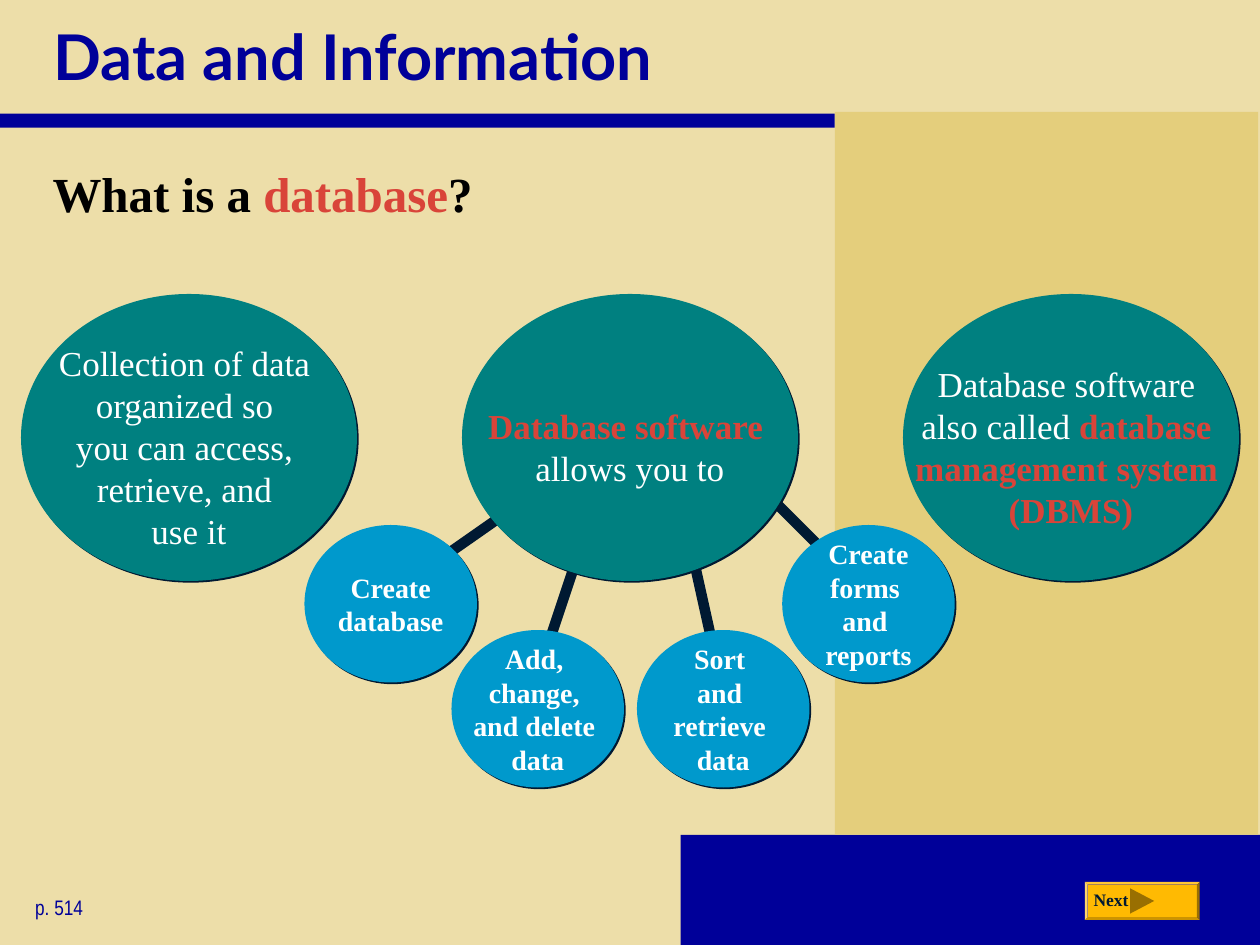
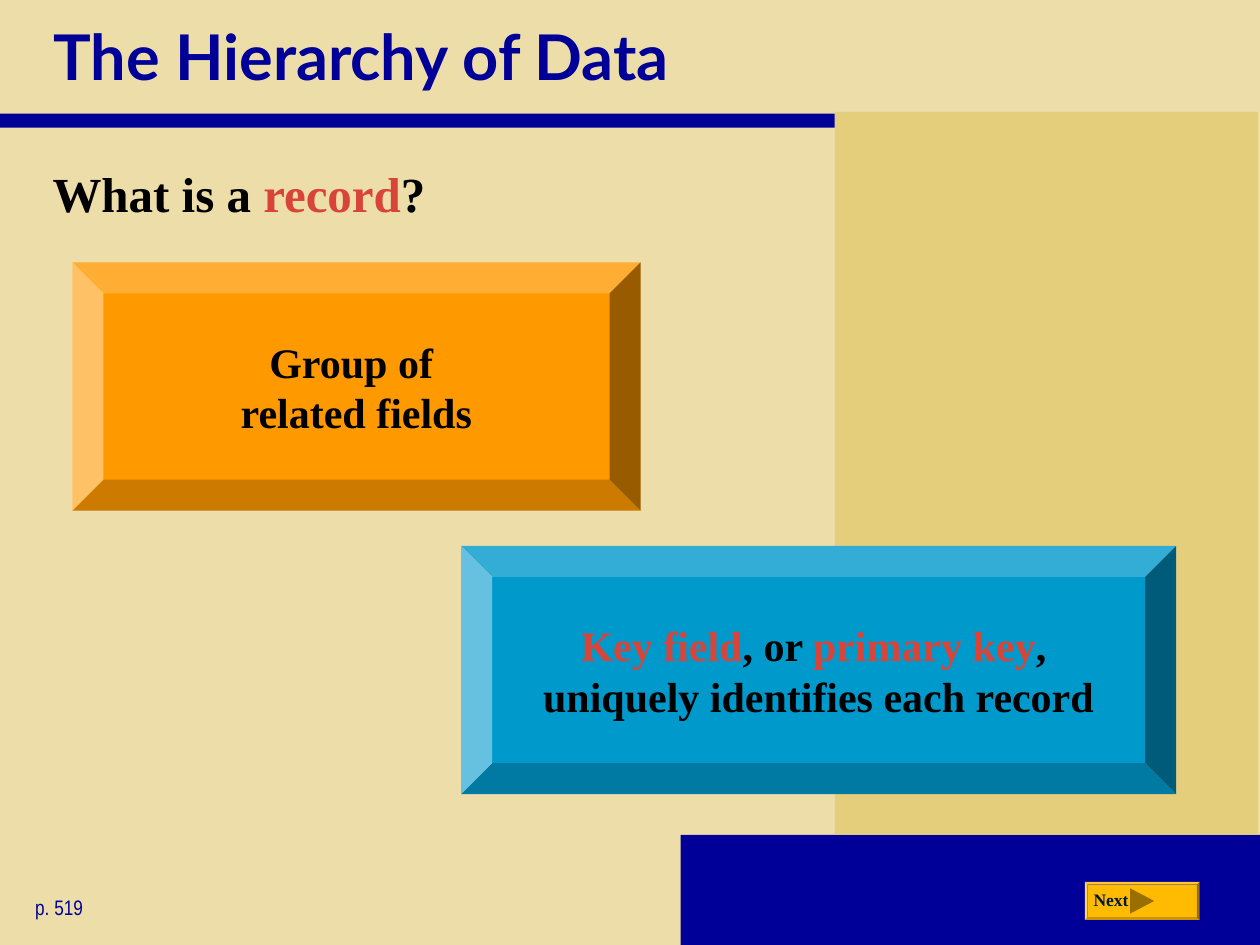
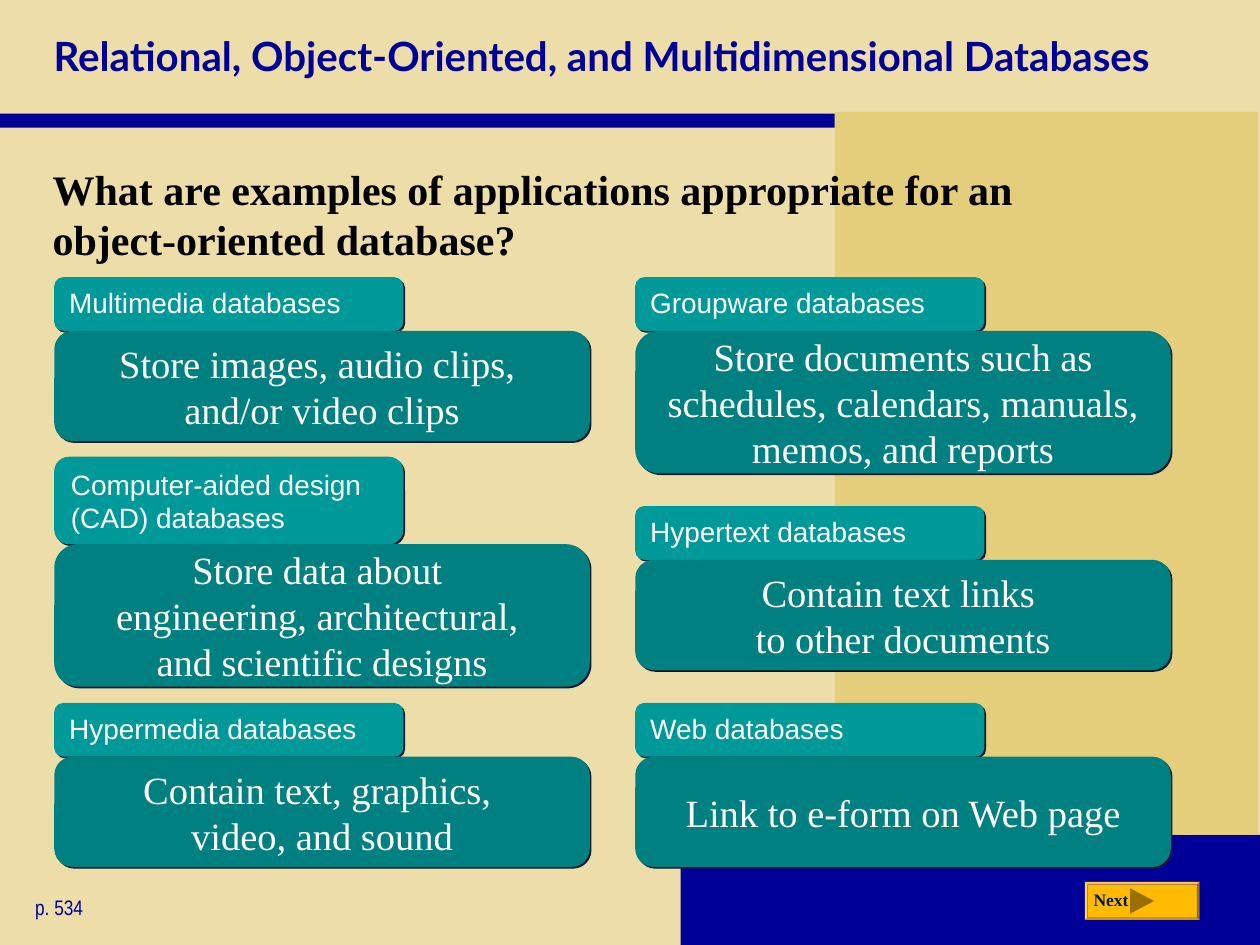
from copy import deepcopy

from lxml import etree
from pptx import Presentation
from pptx.dml.color import RGBColor
from pptx.enum.shapes import MSO_CONNECTOR as CONNECTOR, MSO_SHAPE as SHAPE
from pptx.enum.text import MSO_ANCHOR as ANCHOR, MSO_AUTO_SIZE as AUTO_SIZE, PP_ALIGN as ALIGN
from pptx.oxml.ns import qn
from pptx.util import Pt

colour = RGBColor.from_string

SAND, DARK_SAND, NAVY, INK = "EDDEA9", "E4CE7C", "000099", "001932"
TEAL, LIGHT_TEAL, BLUE = "008080", "009999", "0099CC"
ORANGE, YELLOW, BROWN = "FF9900", "FFBA02", "996F01"
RED, BLACK, WHITE = "D94439", "000000", "FFFFFF"
SERIF, TITLE_FONT, LABEL_FONT, PAGE_FONT = "Times New Roman", "Lato", "Arial", "Arial Narrow"


def add_shape(slide, kind, left, top, width, height, fill, shadow=False):
    shape = slide.shapes.add_shape(kind, Pt(left), Pt(top), Pt(width), Pt(height))
    shape.fill.solid()
    shape.fill.fore_color.rgb = colour(fill)
    shape.line.fill.background()
    shape.shadow.inherit = False
    if shadow:
        effects = shape._element.spPr.find(qn("a:effectLst"))
        outer = etree.SubElement(effects, qn("a:outerShdw"), dist=str(Pt(1.4)),
                                 dir="2700000", algn="ctr", rotWithShape="0")
        etree.SubElement(outer, qn("a:srgbClr"), val=INK)
    return shape


def write(shape, text, size, color, font=SERIF, bold=True, align=ALIGN.LEFT,
          anchor=ANCHOR.TOP, insets=(7.2, 3.6, 7.2, 3.6), wrap=True):
    """Fill the shape with one paragraph; parts between bars are bold and red."""
    frame = shape.text_frame
    frame.auto_size = AUTO_SIZE.NONE
    frame.word_wrap = wrap
    frame.vertical_anchor = anchor
    frame.margin_left, frame.margin_top, frame.margin_right, frame.margin_bottom = map(Pt, insets)
    paragraph = frame.paragraphs[0]
    paragraph.alignment = align
    for part_number, part in enumerate(text.split("|")):
        accent = part_number % 2 == 1
        for line_number, line in enumerate(part.split("\n")):
            if line_number:
                paragraph.add_line_break()
            if line:
                run = paragraph.add_run()
                run.text = line
                run.font.name = font
                run.font.size = Pt(size)
                run.font.bold = bold or accent
                run.font.color.rgb = colour(RED if accent else color)
    # Line breaks need the text size too, or they stretch their line
    for line_break in paragraph._p.findall(qn("a:br")):
        line_break.append(deepcopy(paragraph.runs[0].font._element))


presentation = Presentation()
presentation.slide_width, presentation.slide_height = Pt(720), Pt(540)
background = presentation.slide_master.background.fill
background.solid()
background.fore_color.rgb = colour(SAND)
title_only = presentation.slide_layouts[5]

# Shared frame: title, bands, question, page number and button
pages = [
    ("Data and Information", 36, 676, "What is a |database|?", 28, "p. 514"),
    ("The Hierarchy of Data", 36, 676, "What is a |record|?", 28, "p. 519"),
    ("Relational, Object-Oriented, and Multidimensional Databases", 23, 696,
     "What are examples of applications appropriate for an \nobject-oriented database?",
     24, "p. 534"),
]
for title_text, title_size, title_width, question, question_size, page in pages:
    slide = presentation.slides.add_slide(title_only)
    title = slide.shapes.title
    title.left, title.top, title.width, title.height = Pt(23.4), Pt(0), Pt(title_width), Pt(63.4)
    write(title, title_text, title_size, NAVY, TITLE_FONT, anchor=ANCHOR.MIDDLE)

    add_shape(slide, SHAPE.RECTANGLE, 389, 477, 331, 63, NAVY)
    add_shape(slide, SHAPE.RECTANGLE, 477, 64, 242, 413, DARK_SAND)
    add_shape(slide, SHAPE.RECTANGLE, 0, 65, 477, 8, NAVY)

    question_box = slide.shapes.add_textbox(Pt(23), Pt(85.7), Pt(676), Pt(60))
    write(question_box, question, question_size, BLACK, insets=(7.2, 7.5, 7.2, 3.6))
    page_box = slide.shapes.add_textbox(Pt(13), Pt(507.6), Pt(121.7), Pt(21.6))
    write(page_box, page, 12, NAVY, PAGE_FONT, bold=False)

    button = add_shape(slide, SHAPE.BEVEL, 620, 504, 65.5, 21.6, YELLOW)
    button.adjustments[0] = 0.07
    arrow = add_shape(slide, SHAPE.ISOSCELES_TRIANGLE, 645.5, 508, 14.4, 13.7, BROWN)
    arrow.rotation = 90
    next_box = slide.shapes.add_textbox(Pt(617.8), Pt(504.7), Pt(36.7), Pt(19.4))
    write(next_box, "Next", 10, INK, wrap=False)

database_slide, record_slide, examples_slide = presentation.slides

# Database: three statements, and the tasks hanging from the middle one
tasks = [
    ("Add, \nchange, \nand delete \ndata", 258, 360, (330, 318, 312, 372)),
    ("Create\ndatabase", 174, 300, (288, 294, 248, 322)),
    ("Sort \nand \nretrieve \ndata", 364, 360, (396, 318, 408, 372)),
    ("Create\nforms \nand \nreports", 447, 300, (438, 282, 480, 324)),
]
for text, left, top, ends in tasks:
    link = database_slide.shapes.add_connector(CONNECTOR.STRAIGHT, *map(Pt, ends))
    link.line.width = Pt(6)
    link.line.color.rgb = colour(INK)
    etree.SubElement(link._element.spPr, qn("a:effectLst"))
    circle = add_shape(database_slide, SHAPE.OVAL, left, top, 98.6, 90, BLUE, shadow=True)
    write(circle, text, 16, WHITE, align=ALIGN.CENTER, anchor=ANCHOR.MIDDLE,
          insets=(0, 0, 0, 0), wrap=False)

statements = [
    "Collection of data \norganized so \nyou can access, \nretrieve, and \nuse it",
    "|Database software \n|allows you to",
    "Database software \nalso called |database \nmanagement system \n(DBMS)|",
]
for column, text in enumerate(statements):
    oval = add_shape(database_slide, SHAPE.OVAL, 12 + 252 * column, 168, 192, 164, TEAL, shadow=True)
    write(oval, text, 20, WHITE, bold=False, align=ALIGN.CENTER, anchor=ANCHOR.MIDDLE,
          insets=(7.2, 10.8, 7.2, 0), wrap=False)

# Record: two bevelled panels
panels = [
    ("Group of \nrelated fields", 41.3, 150, 324.7, ORANGE),
    ("|Key field|, or |primary key|, \nuniquely identifies each record", 263.5, 312, 408.6, BLUE),
]
for text, left, top, width, fill in panels:
    panel = add_shape(record_slide, SHAPE.BEVEL, left, top, width, 141.8, fill)
    panel.adjustments[0] = 0.125
    write(panel, text, 24, BLACK, align=ALIGN.CENTER, anchor=ANCHOR.MIDDLE, wrap=False)

# Examples: a label tab on top of each description, in two columns
LEFT_COLUMN, RIGHT_COLUMN = 31, 363
examples = [
    (LEFT_COLUMN, 158.4, "Multimedia databases",
     "Store images, audio clips, \nand/or video clips", 63),
    (RIGHT_COLUMN, 158.4, "Groupware databases",
     "Store documents such as schedules, calendars, manuals, memos, and reports", 81.4),
    (LEFT_COLUMN, 261, "Computer-aided design \n(CAD) databases",
     "Store data about \nengineering, architectural, \nand scientific designs", 81.4),
    (RIGHT_COLUMN, 289.2, "Hypertext databases",
     "Contain text links \nto other documents", 63),
    (LEFT_COLUMN, 401.7, "Hypermedia databases",
     "Contain text, graphics, \nvideo, and sound", 63),
    (RIGHT_COLUMN, 401.7, "Web databases", "Link to e-form on Web page", 63),
]
for left, top, label, description, height in examples:
    tab_height = 50 if "\n" in label else 30.7
    tab = add_shape(examples_slide, SHAPE.ROUNDED_RECTANGLE, left, top, 199.5, tab_height,
                    LIGHT_TEAL, shadow=True)
    write(tab, label, 16, WHITE, LABEL_FONT, bold=False)
    body = add_shape(examples_slide, SHAPE.ROUNDED_RECTANGLE, left, top + tab_height, 306, height,
                     TEAL, shadow=True)
    write(body, description, 22, WHITE, bold=False, align=ALIGN.CENTER, anchor=ANCHOR.MIDDLE)

presentation.save("out.pptx")
